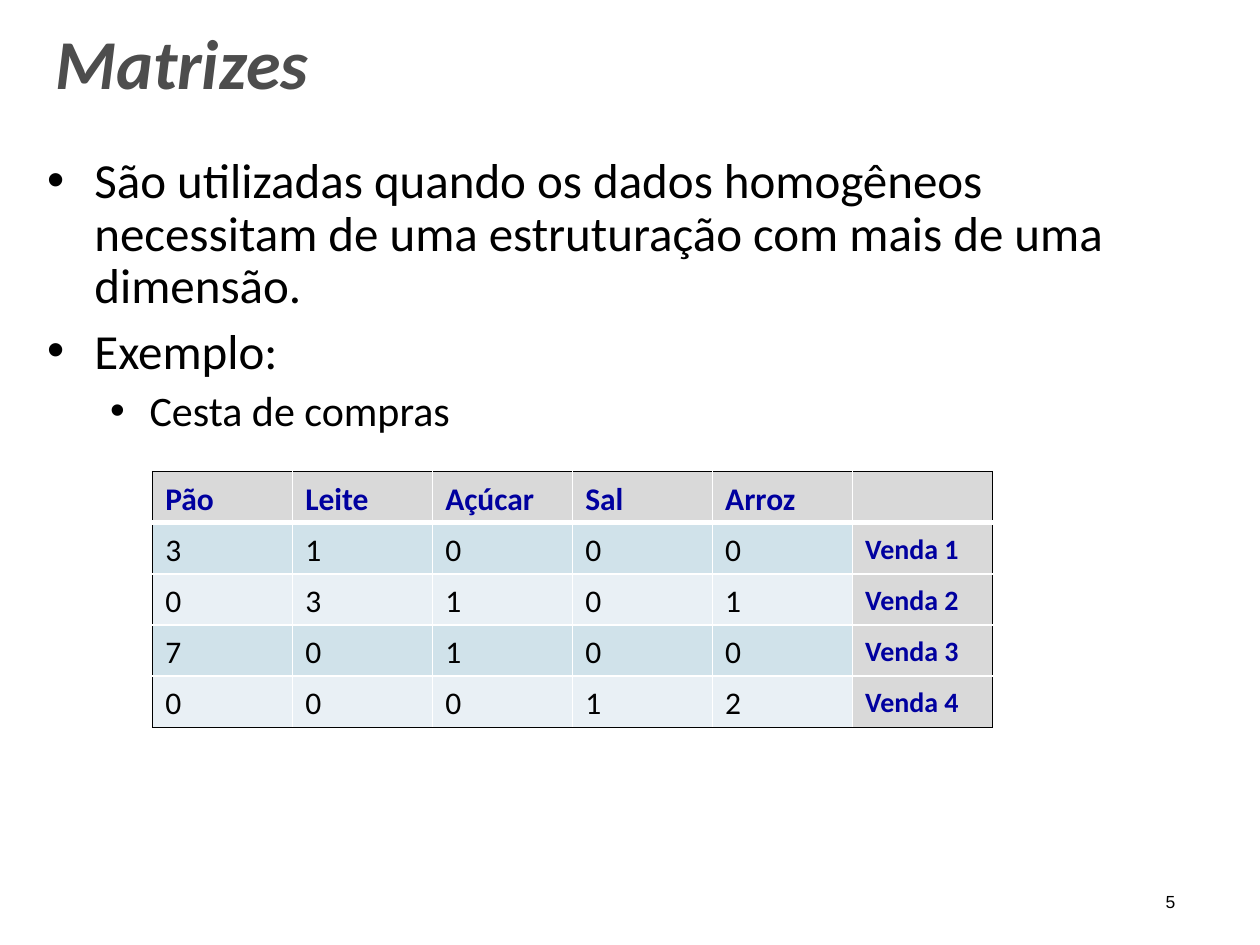
"""Build the slide "Matrizes" with its shopping basket table."""
from lxml import etree
from pptx import Presentation
from pptx.dml.color import RGBColor
from pptx.enum.text import MSO_ANCHOR
from pptx.oxml.ns import qn
from pptx.util import Pt

TOP = MSO_ANCHOR.TOP
BLACK, WHITE, NAVY, GREY = "000000", "FFFFFF", "00009F", "D9D9D9"
BANDS = ["D0E2EA", "E9F0F5"]


def style(paragraph, size, color, name="Calibri", bold=False, italic=False):
    font = paragraph.font
    font.size, font.name, font.bold, font.italic = Pt(size), name, bold, italic
    font.color.rgb = RGBColor.from_string(color)


def add_text(left, top, width, height, inset=0):
    frame = slide.shapes.add_textbox(Pt(left), Pt(top), Pt(width), Pt(height)).text_frame
    frame.margin_left = frame.margin_right = frame.margin_bottom = 0
    frame.margin_top = Pt(inset)
    frame.word_wrap = True
    return frame


prs = Presentation()
prs.slide_width, prs.slide_height = Pt(720), Pt(540)
slide = prs.slides.add_slide(prs.slide_layouts[6])

page = add_text(666, 509, 15, 13).paragraphs[0]
page.text = "5"
style(page, 10, BLACK, "Arial")

title = add_text(31.5, 9.5, 160, 50, 1.5).paragraphs[0]
title.text = "Matrizes"
style(title, 40, "4D4D4D", bold=True, italic=True)

points = [
    ("São utilizadas quando os dados homogêneos necessitam de uma "
     "estruturação com mais de uma dimensão.", 0, 28, 28, 27),
    ("Exemplo:", 0, 28, 28, 27),
    ("Cesta de compras", 1, 24, 59.5, 22.5),
]
body = add_text(26, 80.5, 606, 165, 8.5)
for i, (text, level, size, indent, hanging) in enumerate(points):
    point = body.add_paragraph() if i else body.paragraphs[0]
    point.text = text
    point.level = level
    if i:
        point.space_before = Pt(3.2)
    else:
        point.line_spacing = 0.9
    props = point._p.get_or_add_pPr()
    props.set("marL", str(Pt(indent)))
    props.set("indent", str(-Pt(hanging)))
    etree.SubElement(props, qn("a:buFont"), typeface="Arial")
    etree.SubElement(props, qn("a:buChar"), char="•")
    style(point, size, BLACK)

sales = [
    ["Pão", "Leite", "Açúcar", "Sal", "Arroz", ""],
    [3, 1, 0, 0, 0, "Venda 1"],
    [0, 3, 1, 0, 1, "Venda 2"],
    [7, 0, 1, 0, 0, "Venda 3"],
    [0, 0, 0, 1, 2, "Venda 4"],
]
last_row, last_col = len(sales) - 1, len(sales[0]) - 1
table = slide.shapes.add_table(len(sales), len(sales[0]), Pt(87.25), Pt(269.5),
                               Pt(480), Pt(146.25)).table
table.first_row = table.horz_banding = False
for column in table.columns:
    column.width = Pt(80)
for row in table.rows:
    row.height = Pt(29.25)

for r, values in enumerate(sales):
    for c, value in enumerate(values):
        cell = table.cell(r, c)
        is_label = r == 0 or c == last_col
        is_sale = is_label and r > 0
        cell.margin_left = Pt(7.2)
        cell.margin_right = cell.margin_bottom = 0
        cell.margin_top = Pt(5.5 if is_sale else 5)
        cell.vertical_anchor = TOP
        borders = {
            "L": (BLACK if c == 0 else WHITE, 1),
            "R": (BLACK if c == last_col else WHITE, 1),
            "T": (BLACK if r == 0 else WHITE, 3 if r == 1 else 1),
            "B": (BLACK if r == last_row else WHITE, 3 if r == 0 else 1),
        }
        for side, (color, weight) in borders.items():
            line = etree.SubElement(cell._tc.get_or_add_tcPr(), qn(f"a:ln{side}"),
                                    w=str(Pt(weight)))
            paint = etree.SubElement(line, qn("a:solidFill"))
            etree.SubElement(paint, qn("a:srgbClr"), val=color)
        cell.fill.solid()
        cell.fill.fore_color.rgb = RGBColor.from_string(GREY if is_label else BANDS[(r - 1) % 2])
        entry = cell.text_frame.paragraphs[0]
        entry.text = str(value)
        style(entry, 16 if is_sale else 18, NAVY if is_label else BLACK, bold=is_label)

prs.save("out.pptx")
